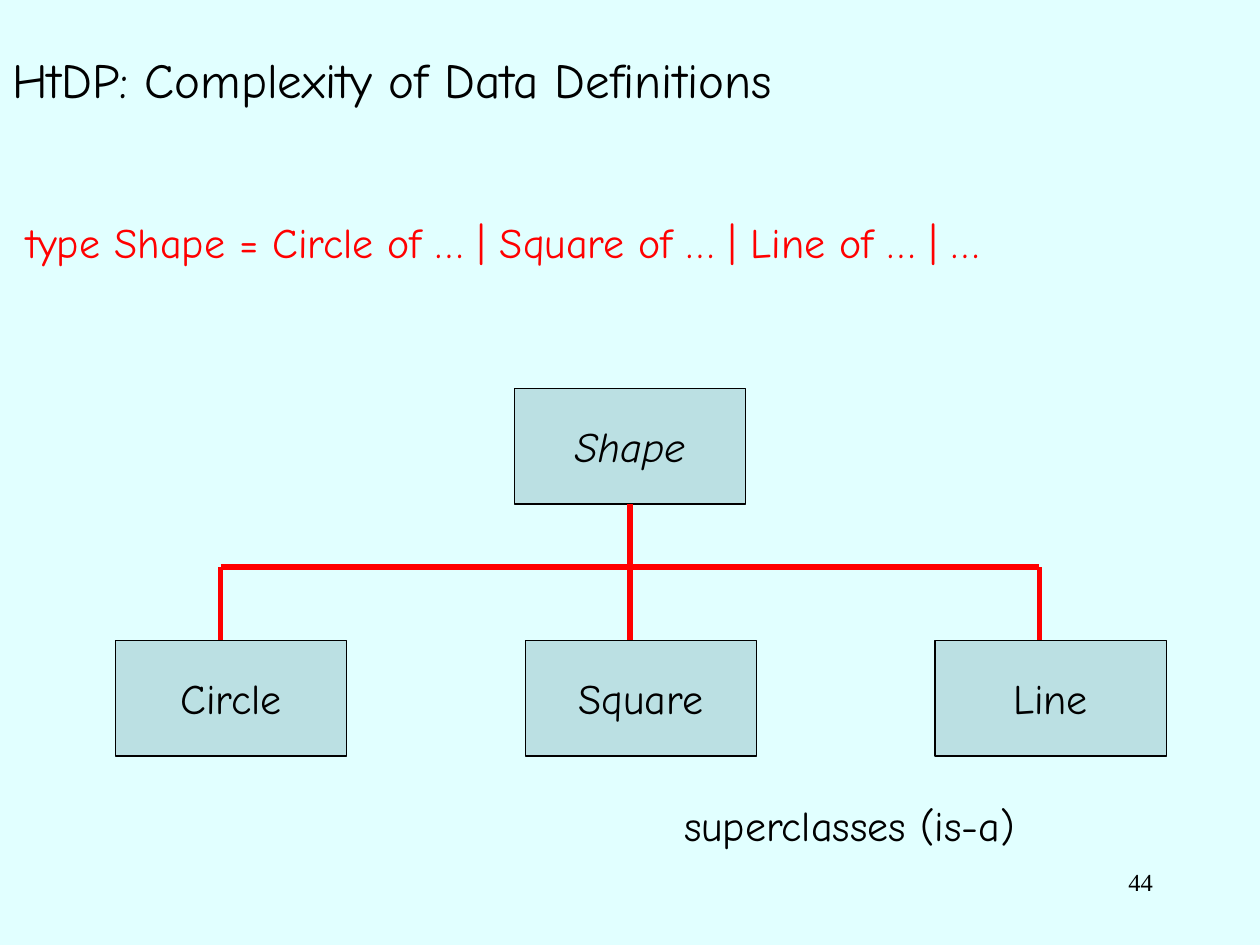
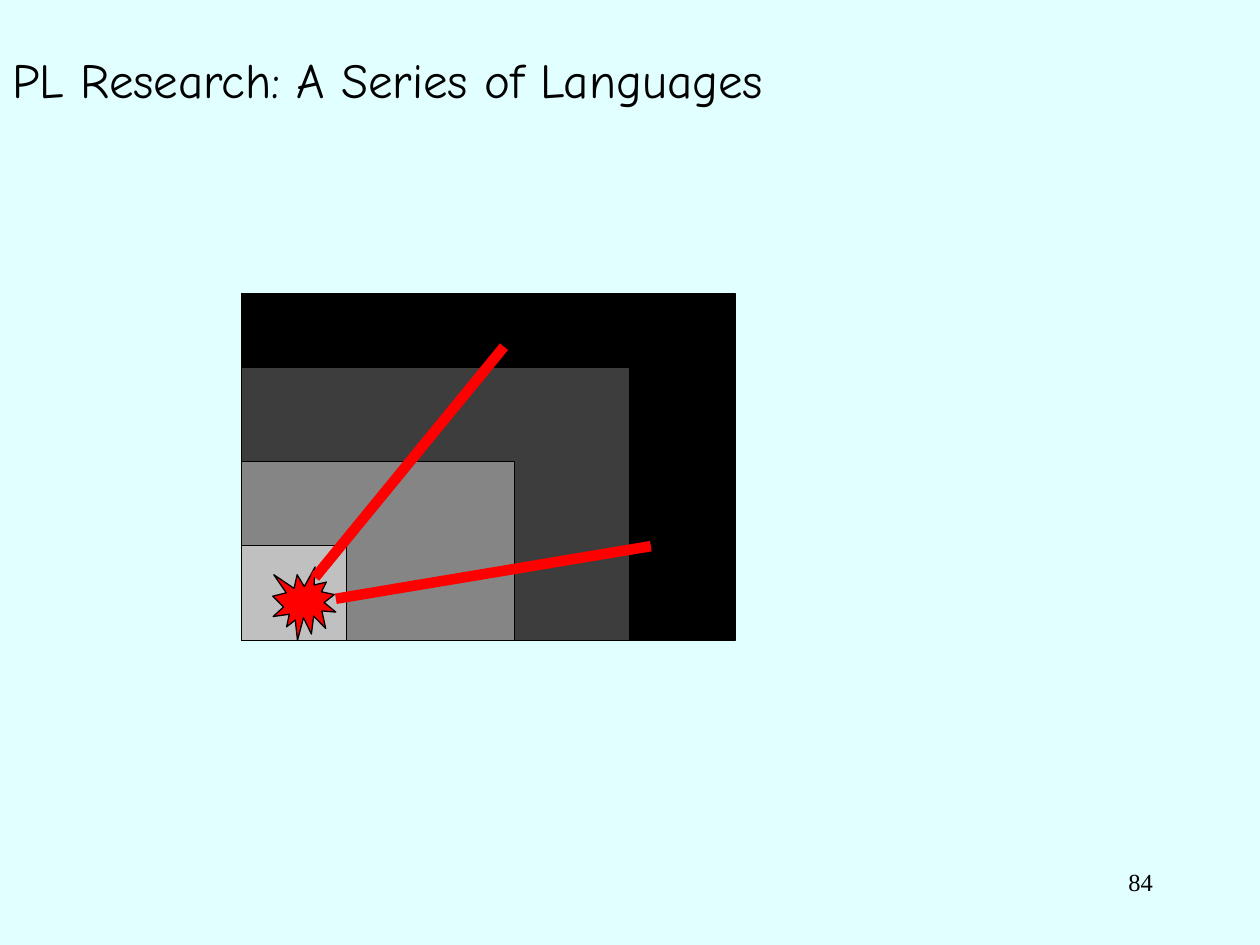
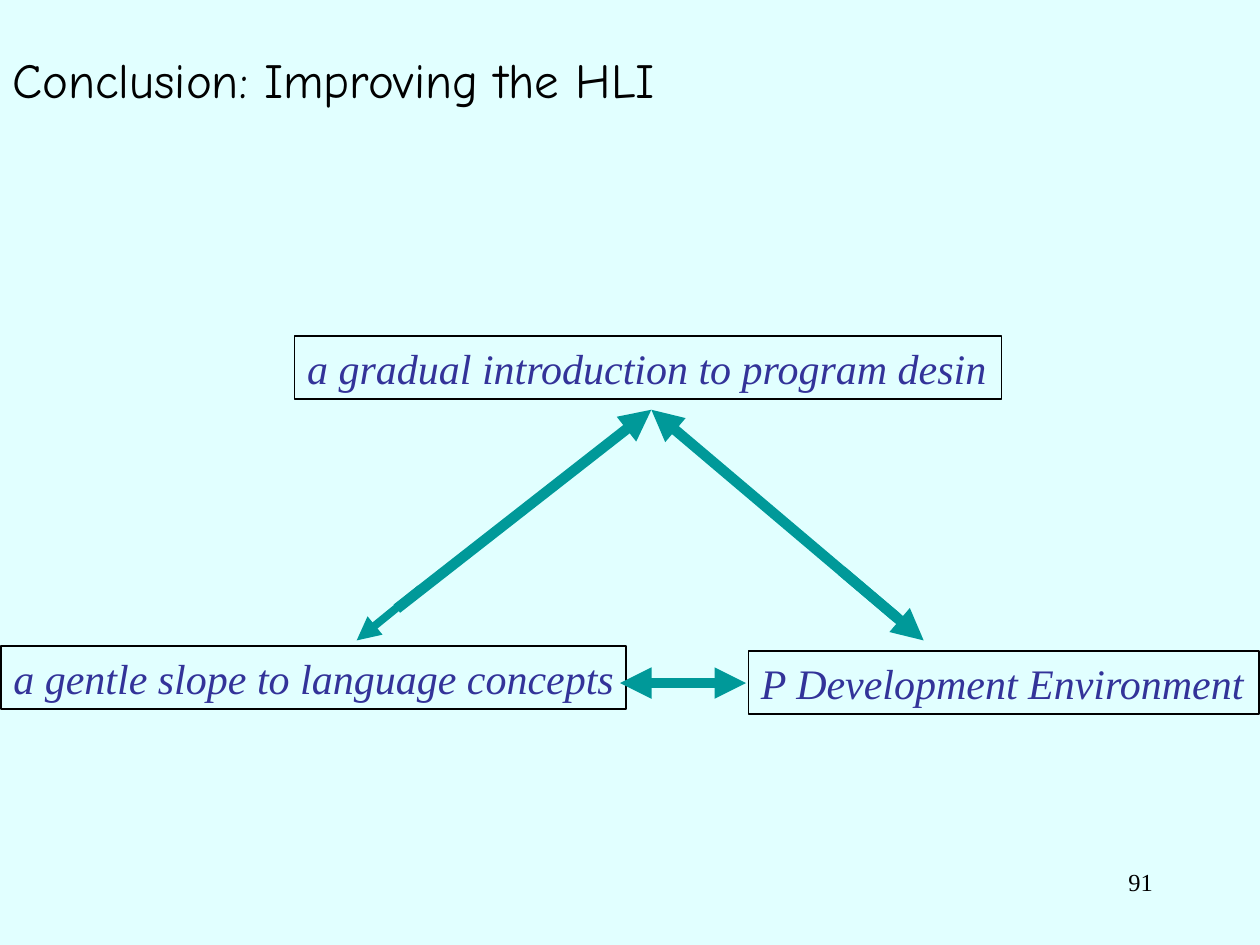
"""Builds three slides on data definitions, language layers and conclusions."""
from lxml.etree import SubElement
from pptx import Presentation
from pptx.dml.color import RGBColor
from pptx.enum.shapes import MSO_CONNECTOR, MSO_SHAPE
from pptx.enum.text import MSO_ANCHOR, PP_ALIGN
from pptx.oxml.ns import qn
from pptx.util import Cm, Pt

COLORS = {
    "background": "E1FFFF", "text": "000000", "accent": "FF0000",
    "class": "BBE0E3", "claim": "333399", "arrow": "009999",
}
HAND, SERIF = "Comic Neue", "Times New Roman"
TITLE_AREA = (0, 0, 21.59, 3.18)
NUMBER_AREA = (18.21, 17.35, 5.28, 1.27)

TYPE_LINE = ("type Shape = Circle of … | Square of … | Line of … | …", (0.28, 4.24, 21.87, 1.27))
RELATION = ("superclasses (is-a)", (13.54, 16, 7.67, 1.27))
SUPERCLASS = "Shape"
SUBCLASSES = ["Circle", "Square", "Line"]
CLASS_WIDTH, CLASS_HEIGHT = 4.66, 2.33
SUPERCLASS_LEFT, SUPERCLASS_TOP = 10.37, 7.83
SUBCLASS_LEFT, SUBCLASS_TOP, SUBCLASS_STEP = 2.33, 12.91, 8.26
BRANCH_CENTER, BRANCH_STEP, BRANCH_TOP, TRUNK_END = 12.7, 8.25, 11.43, 12.28

LAYERS_LEFT, LAYERS_BOTTOM = 4.87, 12.91
LAYERS = [(9.95, 6.99, "000000"), (7.83, 5.5, "3D3D3D"), (5.5, 3.6, "858585"), (2.12, 1.91, "C0C0C0")]
BURST_AREA = (5.5, 11.43, 1.27, 1.48)
RAYS = [((6.35, 11.64), (10.16, 6.99)), ((6.77, 12.07), (13.12, 11.01))]

CLAIMS = [
    ("a gradual introduction to program desin", (5.94, 6.77, 14.25, 1.27)),
    ("a gentle slope to language concepts", (0.02, 13.02, 12.6, 1.27)),
    ("P Development Environment", (15.09, 13.13, 10.29, 1.27)),
]
ARROWS = [
    ((14.4, 13.77), (12.5, 13.77), 6), ((13.54, 13.77), (15.04, 13.77), 6),
    ((8, 12.27), (13.13, 8.26), 6), ((8.48, 11.86), (7.19, 12.91), 4.5),
    ((18.08, 12.45), (13.13, 8.26), 6), ((16.97, 11.51), (18.62, 12.91), 6),
]


def color(value):
    return RGBColor.from_string(COLORS.get(value, value))


def write(shape, text, font=HAND, size=24, ink="text", italic=False,
          align=PP_ALIGN.LEFT, anchor=MSO_ANCHOR.TOP, wrap=False):
    frame = shape.text_frame
    frame.word_wrap = wrap
    frame.vertical_anchor = anchor
    paragraph = frame.paragraphs[0]
    paragraph.alignment = align
    run = paragraph.add_run()
    run.text = text
    run.font.name, run.font.size, run.font.italic = font, Pt(size), italic
    run.font.color.rgb = color(ink)


def add_text(slide, area, text, **style):
    write(slide.shapes.add_textbox(*map(Cm, area)), text, **style)


def add_box(slide, area, fill=None, width=0.75, kind=MSO_SHAPE.RECTANGLE):
    shape = slide.shapes.add_shape(kind, *map(Cm, area))
    shape.shadow.inherit = False
    if fill:
        shape.fill.solid()
        shape.fill.fore_color.rgb = color(fill)
    else:
        shape.fill.background()
    shape.line.color.rgb = color("text")
    shape.line.width = Pt(width)
    return shape


def add_line(slide, start, end, ink, width, arrow=False):
    connector = slide.shapes.add_connector(MSO_CONNECTOR.STRAIGHT, *map(Cm, start + end))
    connector.line.color.rgb = color(ink)
    connector.line.width = Pt(width)
    if arrow:
        SubElement(connector.line._get_or_add_ln(), qn("a:tailEnd"), type="triangle")
    SubElement(connector._element.spPr, qn("a:effectLst"))


def draw_classes(slide):
    add_text(slide, TYPE_LINE[1], TYPE_LINE[0], ink="accent")
    classes = [(SUPERCLASS, SUPERCLASS_LEFT, SUPERCLASS_TOP)] + [
        (name, SUBCLASS_LEFT + index * SUBCLASS_STEP, SUBCLASS_TOP)
        for index, name in enumerate(SUBCLASSES)]
    for name, left, top in classes:
        box = add_box(slide, (left, top, CLASS_WIDTH, CLASS_HEIGHT), "class")
        write(box, name, italic=name == SUPERCLASS, align=PP_ALIGN.CENTER, anchor=MSO_ANCHOR.MIDDLE)
    branches = [BRANCH_CENTER + offset * BRANCH_STEP for offset in (-1, 0, 1)]
    lines = [((branches[0], BRANCH_TOP), (branches[-1], BRANCH_TOP)),
             ((BRANCH_CENTER, SUPERCLASS_TOP + CLASS_HEIGHT), (BRANCH_CENTER, TRUNK_END))]
    lines += [((x, BRANCH_TOP), (x, SUBCLASS_TOP)) for x in branches]
    for start, end in lines:
        add_line(slide, start, end, "accent", 3)
    add_text(slide, RELATION[1], RELATION[0])


def draw_layers(slide):
    for width, height, fill in LAYERS:
        add_box(slide, (LAYERS_LEFT, LAYERS_BOTTOM - height, width, height), fill)
    add_box(slide, BURST_AREA, "accent", kind=MSO_SHAPE.EXPLOSION1)
    for start, end in RAYS:
        add_line(slide, start, end, "accent", 6)


def draw_claims(slide):
    for text, area in CLAIMS:
        write(add_box(slide, area, width=1), text, font=SERIF, ink="claim", italic=True)
    for start, end, width in ARROWS:
        add_line(slide, start, end, "arrow", width, arrow=True)


SLIDES = [
    ("HtDP: Complexity of Data Definitions", "44", draw_classes),
    ("PL Research: A Series of Languages", "84", draw_layers),
    ("Conclusion: Improving the HLI", "91", draw_claims),
]


def main():
    presentation = Presentation()
    presentation.slide_width, presentation.slide_height = Cm(25.4), Cm(19.05)
    background = presentation.slide_master.background.fill
    background.solid()
    background.fore_color.rgb = color("background")
    for title, number, draw in SLIDES:
        slide = presentation.slides.add_slide(presentation.slide_layouts[6])
        add_text(slide, TITLE_AREA, title, size=28, anchor=MSO_ANCHOR.MIDDLE, wrap=True)
        draw(slide)
        add_text(slide, NUMBER_AREA, number, font=SERIF, size=14, align=PP_ALIGN.RIGHT, wrap=True)
    presentation.save("out.pptx")


if __name__ == "__main__":
    main()
